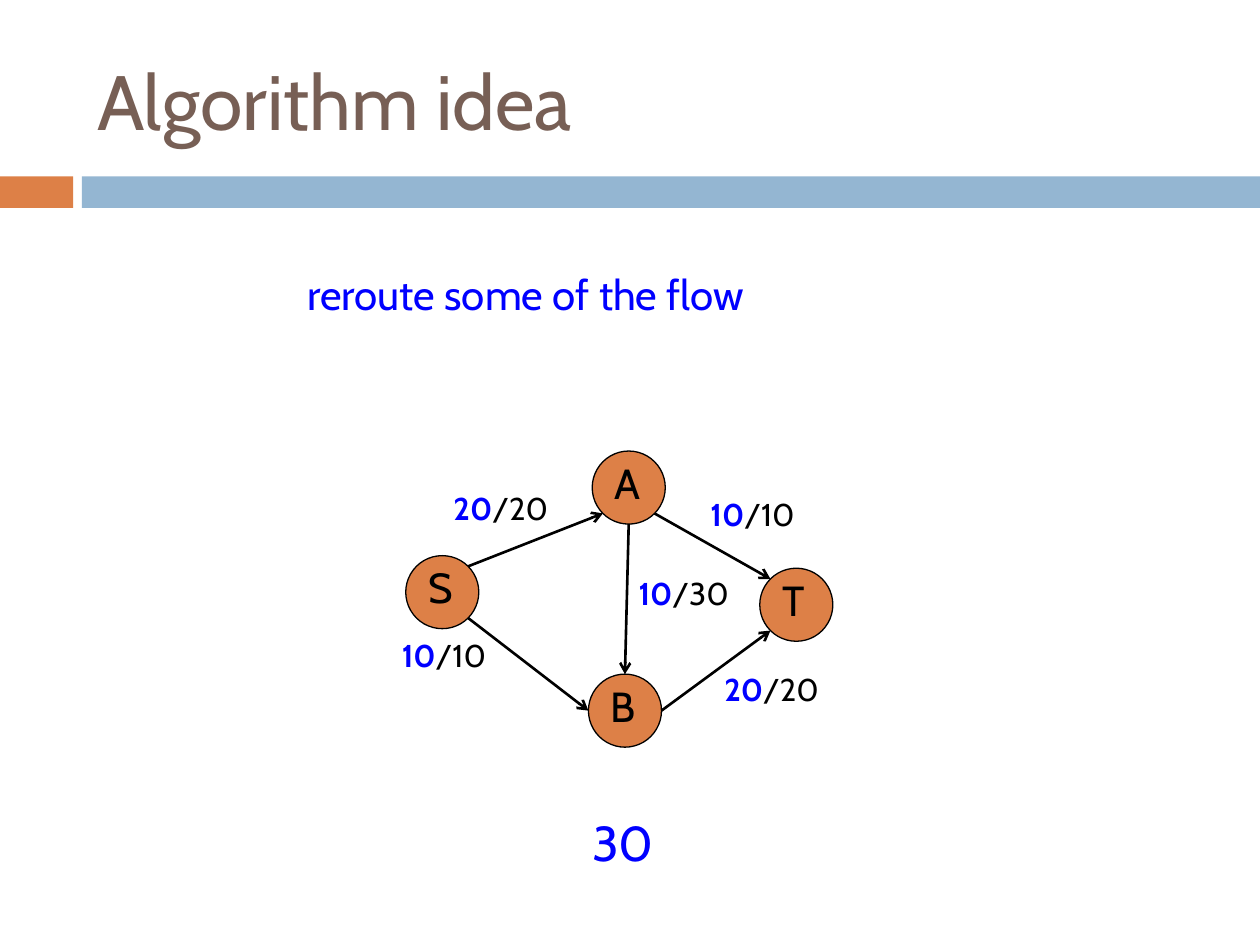
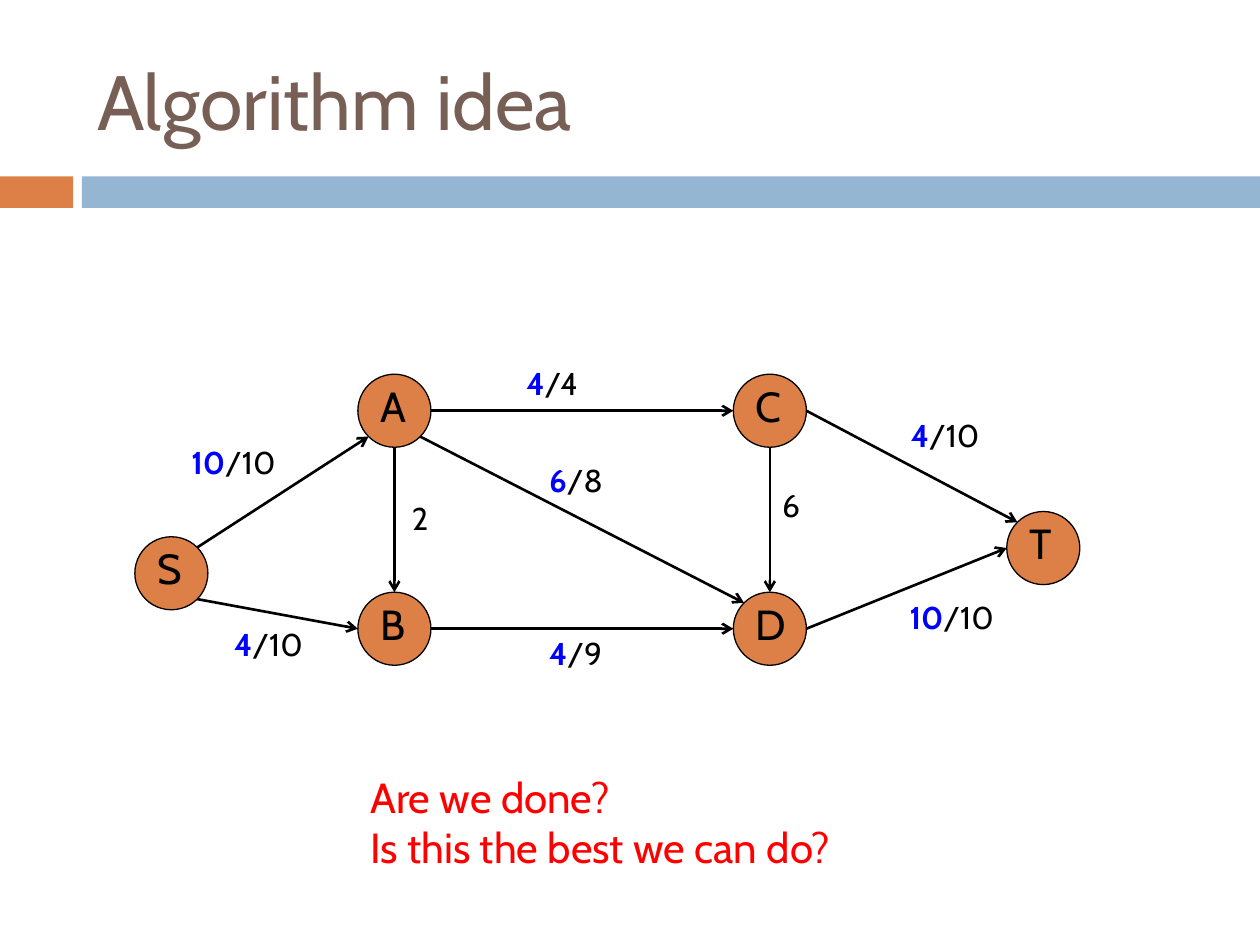
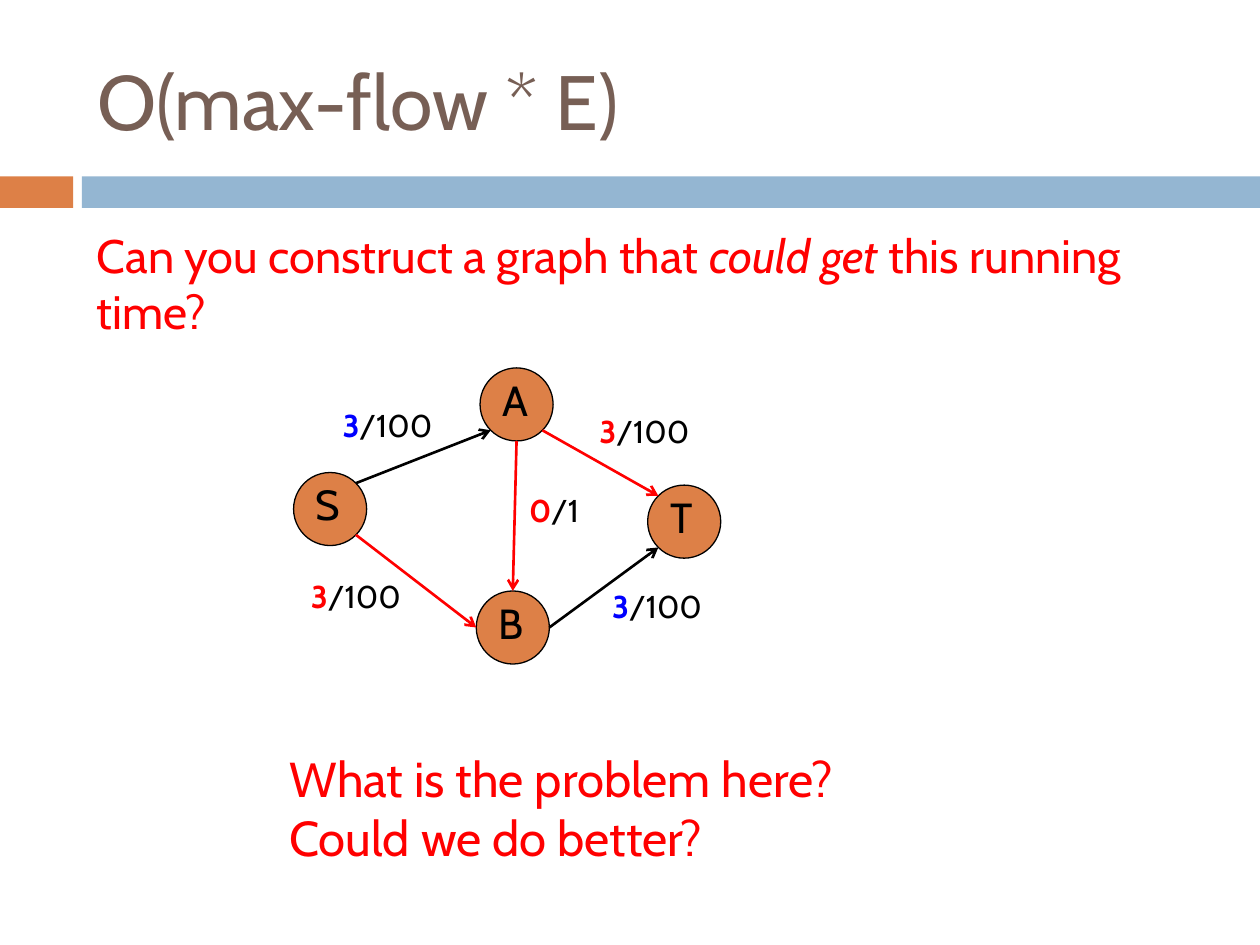
from dataclasses import dataclass
from typing import NamedTuple, Optional

from lxml import etree
from pptx import Presentation
from pptx import util as u
from pptx.dml.color import RGBColor
from pptx.enum import shapes, text
from pptx.oxml import ns


@dataclass(frozen=True)
class Theme:
    font: str = "Cabin"
    orange: str = "DD8047"
    blue_band: str = "94B6D2"
    brown: str = "775F55"
    black: str = "000000"
    blue: str = "0000FF"
    red: str = "FF0000"
    title_size: float = 44
    total_size: float = 28
    body_size: float = 26.8
    node_size: float = 24
    flow_size: float = 18


THEME = Theme()
DIAMETER = 0.58
RADIUS = DIAMETER / 2
DIAGONAL = RADIUS * 0.5 ** 0.5
PORTS = {
    "N": (0, -RADIUS), "S": (0, RADIUS), "W": (-RADIUS, 0), "E": (RADIUS, 0),
    "NE": (DIAGONAL, -DIAGONAL), "NW": (-DIAGONAL, -DIAGONAL),
    "SE": (DIAGONAL, DIAGONAL), "SW": (-DIAGONAL, DIAGONAL),
}


class Box(NamedTuple):
    left: float
    top: float
    width: float
    height: float

    def inches(self) -> list[u.Length]:
        return [u.Inches(v) for v in self]


class Run(NamedTuple):
    text: str
    color: Optional[str] = None
    bold: Optional[bool] = None
    italic: Optional[bool] = None


class Node(NamedTuple):
    name: str
    left: float
    top: float

    def port(self, side: str) -> tuple[u.Length, u.Length]:
        dx, dy = PORTS[side]
        return u.Inches(self.left + RADIUS + dx), u.Inches(self.top + RADIUS + dy)


class Label(NamedTuple):
    """Flow and capacity of an edge; an edge without flow shows its capacity only."""
    flow: str
    capacity: str
    left: float
    top: float
    width: float


class Edge(NamedTuple):
    start: str
    start_port: str
    end: str
    end_port: str
    label: Label
    highlight: bool = False


BANDS = (
    (Box(0, 1.4, 0.58, 0.25), THEME.orange),
    (Box(0.65, 1.4, 9.35, 0.25), THEME.blue_band),
)
TITLE_BOX = Box(0.67, 0.25, 8.92, 1.08)

DIAMOND_NODES = (
    Node("S", 3.22, 4.41), Node("A", 4.7, 3.58),
    Node("B", 4.67, 5.35), Node("T", 6.03, 4.51),
)
DIAMOND_ROUTES = (
    ("S", "NE", "A", "SW"), ("S", "SE", "B", "W"), ("B", "E", "T", "SW"),
    ("A", "S", "B", "N"), ("A", "SE", "T", "NW"),
)
REROUTED_LABELS = (
    Label("20", "20", 3.5, 3.83, 1.01), Label("10", "10", 3.09, 5, 1.35),
    Label("20", "20", 5.65, 5.27, 1.23), Label("10", "30", 4.97, 4.51, 0.93),
    Label("10", "10", 5.54, 3.88, 1.07),
)
SLOW_LABELS = (
    Label("3", "100", 2.62, 3.17, 1.01), Label("3", "100", 2.37, 4.53, 1.16),
    Label("3", "100", 4.76, 4.61, 1.09), Label("0", "1", 4.1, 3.85, 0.75),
    Label("3", "100", 4.66, 3.22, 1.07),
)
SLOW_PATH = ("SB", "AB", "AT")

COLUMN_X, ROW_Y = (2.84, 5.82), (2.97, 4.7)
LADDER_NODES = (
    Node("S", 1.07, 4.26), Node("T", 7.99, 4.06),
    Node("A", COLUMN_X[0], ROW_Y[0]), Node("B", COLUMN_X[0], ROW_Y[1]),
    Node("C", COLUMN_X[1], ROW_Y[0]), Node("D", COLUMN_X[1], ROW_Y[1]),
)
LADDER_EDGES = (
    Edge("S", "NE", "A", "SW", Label("10", "10", 1.42, 3.47, 0.95)),
    Edge("S", "SE", "B", "W", Label("4", "10", 1.76, 4.91, 0.75)),
    Edge("B", "E", "D", "W", Label("4", "9", 4.26, 4.98, 0.75)),
    Edge("A", "S", "B", "N", Label("", "2", 3.17, 3.91, 0.75)),
    Edge("A", "E", "C", "W", Label("4", "4", 4.08, 2.84, 0.93)),
    Edge("C", "S", "D", "N", Label("", "6", 6.11, 3.81, 0.75)),
    Edge("A", "SE", "D", "NW", Label("6", "8", 4.26, 3.61, 0.95)),
    Edge("C", "E", "T", "NW", Label("4", "10", 7.13, 3.25, 0.95)),
    Edge("D", "E", "T", "W", Label("10", "10", 7.12, 4.7, 0.95)),
)


def rgb(color: str) -> RGBColor:
    return RGBColor.from_string(color)


def style(p, size: float, color: str) -> None:
    p.alignment = text.PP_ALIGN.LEFT
    p.font.name = THEME.font
    p.font.size = u.Pt(size)
    p.font.color.rgb = rgb(color)


def add_text(parent, box: Box, size: float, color: str, *paragraphs: list[Run]) -> None:
    tf = parent.add_textbox(*box.inches()).text_frame
    tf.word_wrap = True
    for i, runs in enumerate(paragraphs):
        p = tf.add_paragraph() if i else tf.paragraphs[0]
        style(p, size, color)
        for run in runs:
            r = p.add_run()
            r.text = run.text
            r.font.bold, r.font.italic = run.bold, run.italic
            if run.color:
                r.font.color.rgb = rgb(run.color)


def add_filled(parent, kind: shapes.MSO_SHAPE, box: Box, fill: str, line: Optional[str] = None) -> None:
    sp = parent.add_shape(kind, *box.inches())
    sp.shadow.inherit = False
    sp.fill.solid()
    sp.fill.fore_color.rgb = rgb(fill)
    if line:
        sp.line.color.rgb = rgb(line)
        sp.line.width = u.Pt(0.75)
    else:
        sp.line.fill.background()


def add_node(s, node: Node) -> None:
    group = s.shapes.add_group_shape().shapes
    add_filled(group, shapes.MSO_SHAPE.OVAL, Box(node.left, node.top, DIAMETER, DIAMETER),
               THEME.orange, THEME.black)
    add_text(group, Box(node.left + 0.08, node.top, 0.5, 0.5),
             THEME.node_size, THEME.black, [Run(node.name)])


def add_arrow(s, start: Node, end: Node, edge: Edge) -> None:
    line = s.shapes.add_connector(shapes.MSO_CONNECTOR.STRAIGHT,
                                  *start.port(edge.start_port), *end.port(edge.end_port))
    line.line.color.rgb = rgb(THEME.red if edge.highlight else THEME.black)
    line.line.width = u.Pt(1.5)
    etree.SubElement(line.line._get_or_add_ln(), ns.qn("a:tailEnd"), type="arrow")
    etree.SubElement(line._element.spPr, ns.qn("a:effectLst"))


def add_flow_label(s, edge: Edge) -> None:
    label = edge.label
    runs = [Run(label.capacity)]
    if label.flow:
        color = THEME.red if edge.highlight else THEME.blue
        runs = [Run(label.flow, color, bold=True), Run("/" + label.capacity)]
    add_text(s.shapes, Box(label.left, label.top, label.width, 0.4),
             THEME.flow_size, THEME.black, runs)


def add_graph(s, nodes: tuple[Node, ...], edges: tuple[Edge, ...]) -> None:
    by_name = {node.name: node for node in nodes}
    for node in nodes:
        add_node(s, node)
    for edge in edges:
        add_arrow(s, by_name[edge.start], by_name[edge.end], edge)
        add_flow_label(s, edge)


def add_diamond(s, labels: tuple[Label, ...], dx: float = 0, dy: float = 0,
                highlighted: tuple[str, ...] = ()) -> None:
    nodes = tuple(Node(n.name, n.left + dx, n.top + dy) for n in DIAMOND_NODES)
    edges = tuple(Edge(*route, label, route[0] + route[2] in highlighted)
                  for route, label in zip(DIAMOND_ROUTES, labels))
    add_graph(s, nodes, edges)


def add_slide(prs, title: str):
    """Start a slide with the two bands and the title."""
    s = prs.slides.add_slide(prs.slide_layouts[5])
    for box, color in BANDS:
        add_filled(s.shapes, shapes.MSO_SHAPE.RECTANGLE, box, color)
    sp = s.shapes.title
    sp.left, sp.top, sp.width, sp.height = TITLE_BOX.inches()
    tf = sp.text_frame
    tf.text = title
    tf.vertical_anchor = text.MSO_ANCHOR.MIDDLE
    tf.auto_size = text.MSO_AUTO_SIZE.NONE
    style(tf.paragraphs[0], THEME.title_size, THEME.brown)
    return s


def build_reroute(prs) -> None:
    s = add_slide(prs, "Algorithm idea")
    add_diamond(s, REROUTED_LABELS)
    add_text(s.shapes, Box(2.34, 2.08, 5.54, 0.5), THEME.node_size, THEME.blue,
             [Run("reroute some of the flow")])
    add_text(s.shapes, Box(4.6, 6.4, 0.72, 0.57), THEME.total_size, THEME.blue, [Run("30")])


def build_ladder(prs) -> None:
    s = add_slide(prs, "Algorithm idea")
    add_graph(s, LADDER_NODES, LADDER_EDGES)
    add_text(s.shapes, Box(2.84, 6.07, 3.87, 0.91), THEME.node_size, THEME.red,
             [Run("Are we done?")], [Run("Is this the best we can do?")])


def build_running_time(prs) -> None:
    s = add_slide(prs, "O(max-flow * E)")
    add_text(s.shapes, Box(0.67, 1.75, 8.92, 0.7), THEME.body_size, THEME.red,
             [Run("Can you construct a graph that "), Run("could get", italic=True),
              Run(" this running time?")])
    add_diamond(s, SLOW_LABELS, dx=-0.89, dy=-0.66, highlighted=SLOW_PATH)
    add_text(s.shapes, Box(2.2, 5.89, 5.04, 1.04), THEME.total_size, THEME.red,
             [Run("What is the problem here? Could we do better?")])


def main() -> None:
    prs = Presentation()
    prs.slide_width, prs.slide_height = u.Inches(10), u.Inches(7.5)
    for build in (build_reroute, build_ladder, build_running_time):
        build(prs)
    prs.save("out.pptx")


if __name__ == "__main__":
    main()
